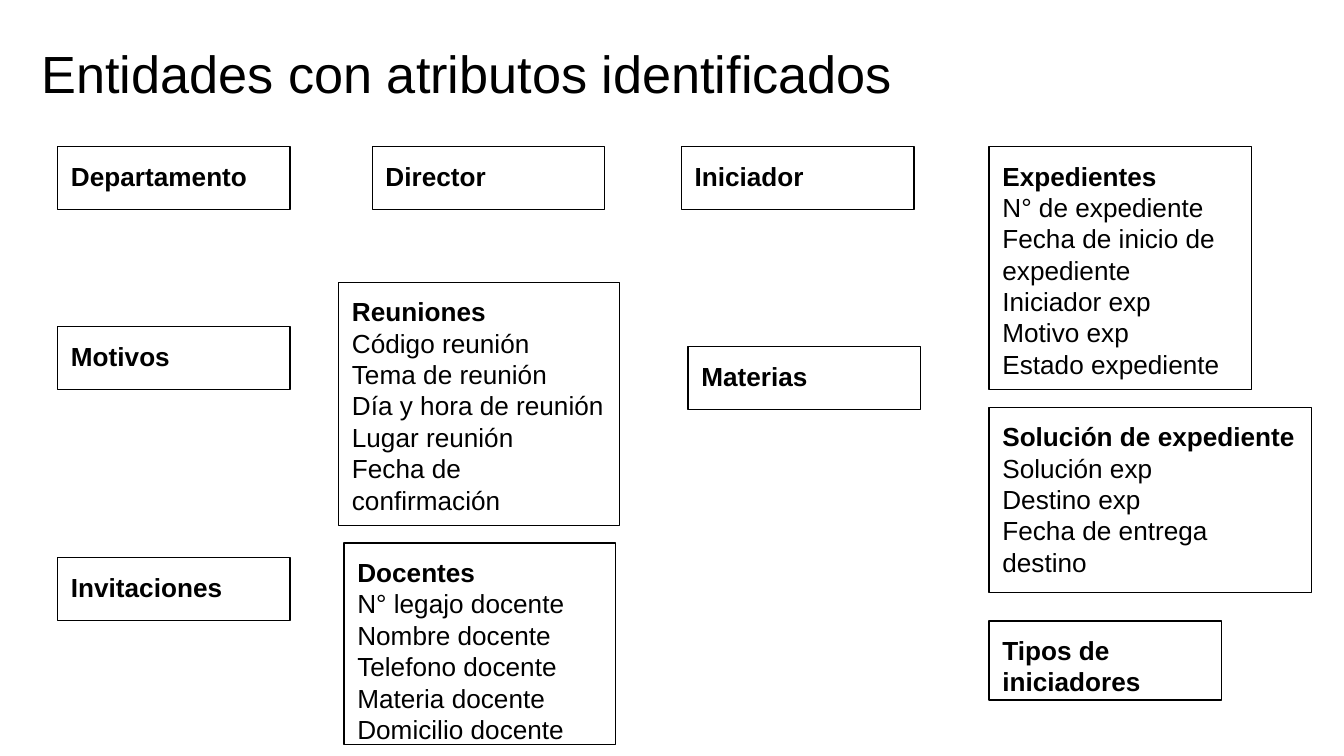
from dataclasses import dataclass

from pptx import Presentation
from pptx.dml.color import RGBColor
from pptx.enum.shapes import MSO_SHAPE
from pptx.enum.text import MSO_ANCHOR, MSO_AUTO_SIZE, PP_ALIGN
from pptx.util import Inches, Pt


@dataclass(frozen=True)
class Theme:
    """Colours, type sizes and spacing of the deck."""
    font: str = "Arial"
    ink: RGBColor = RGBColor(0, 0, 0)
    paper: RGBColor = RGBColor(255, 255, 255)
    title_size: float = 28
    entity_size: float = 14
    line_spacing: float = 1.0
    line_width: float = 0.75
    inset: float = 0.1


THEME = Theme()
WIDTH = 10
HEIGHT = WIDTH * 9 / 16
COLUMNS = {"first": 0.43, "second": 2.52, "third": 5.07, "fourth": 7.36}
TOP_ROW = 1.09
NAME_SIZE = (1.73, 0.47)

ENTITIES = [
    ("first", 0, TOP_ROW, NAME_SIZE, "Departamento", []),
    ("first", 0, 2.43, NAME_SIZE, "Motivos", []),
    ("first", 0, 4.15, NAME_SIZE, "Invitaciones", []),
    ("second", 0.25, TOP_ROW, NAME_SIZE, "Director", []),
    ("second", 0, 2.1, (2.09, 1.81), "Reuniones",
     ["Código reunión", "Tema de reunión", "Día y hora de reunión",
      "Lugar reunión", "Fecha de confirmación"]),
    ("second", 0.04, 4.04, (2.02, 1.5), "Docentes",
     ["N° legajo docente", "Nombre docente", "Telefono docente",
      "Materia docente", "Domicilio docente"]),
    ("third", 0, TOP_ROW, NAME_SIZE, "Iniciador", []),
    ("third", 0.05, 2.58, NAME_SIZE, "Materias", []),
    ("fourth", 0, TOP_ROW, (1.95, 1.81), "Expedientes",
     ["N° de expediente", "Fecha de inicio de expediente",
      "Iniciador exp", "Motivo exp", "Estado expediente"]),
    ("fourth", 0, 3.03, (2.4, 1.38), "Solución de expediente",
     ["Solución exp", "Destino exp", "Fecha de entrega destino"]),
    ("fourth", 0, 4.62, (1.73, 0.59), "Tipos de iniciadores", []),
]


def prepare_frame(frame):
    """Set wrapping, anchor and equal insets on a text frame."""
    frame.word_wrap = True
    frame.auto_size = MSO_AUTO_SIZE.NONE
    frame.vertical_anchor = MSO_ANCHOR.TOP
    frame.margin_left = frame.margin_right = Inches(THEME.inset)
    frame.margin_top = frame.margin_bottom = Inches(THEME.inset)


def write_para(para, text, size, bold=False):
    """Write one left-aligned run into a paragraph."""
    para.alignment = PP_ALIGN.LEFT
    para.line_spacing = THEME.line_spacing
    para.space_before = para.space_after = Pt(0)
    span = para.add_run()
    span.text = text
    span.font.name = THEME.font
    span.font.size = Pt(size)
    span.font.bold = bold
    span.font.color.rgb = THEME.ink


def place_title(page, box, text):
    """Move the title placeholder into the box and fill it."""
    title = page.shapes.title
    title.left, title.top, title.width, title.height = map(Inches, box)
    prepare_frame(title.text_frame)
    write_para(title.text_frame.paragraphs[0], text, THEME.title_size)


def place_entity(page, box, name, attributes):
    """Draw an outlined entity with its bold name above its attributes."""
    entity = page.shapes.add_shape(MSO_SHAPE.RECTANGLE, *map(Inches, box))
    entity.shadow.inherit = False
    entity.fill.background()
    entity.line.color.rgb = THEME.ink
    entity.line.width = Pt(THEME.line_width)
    frame = entity.text_frame
    prepare_frame(frame)
    write_para(frame.paragraphs[0], name, THEME.entity_size, bold=True)
    for attribute in attributes:
        write_para(frame.add_paragraph(), attribute, THEME.entity_size)


def main():
    """Build the slide of entities and save the deck."""
    deck = Presentation()
    deck.slide_width, deck.slide_height = Inches(WIDTH), Inches(HEIGHT)
    page = deck.slides.add_slide(deck.slide_layouts.get_by_name("Title Only"))
    page.background.fill.solid()
    page.background.fill.fore_color.rgb = THEME.paper
    place_title(page, (0.21, 0.21, 9.32, 0.63), "Entidades con atributos identificados")
    for column, shift, top, size, name, attributes in ENTITIES:
        place_entity(page, (COLUMNS[column] + shift, top, *size), name, attributes)
    deck.save("out.pptx")


if __name__ == "__main__":
    main()
